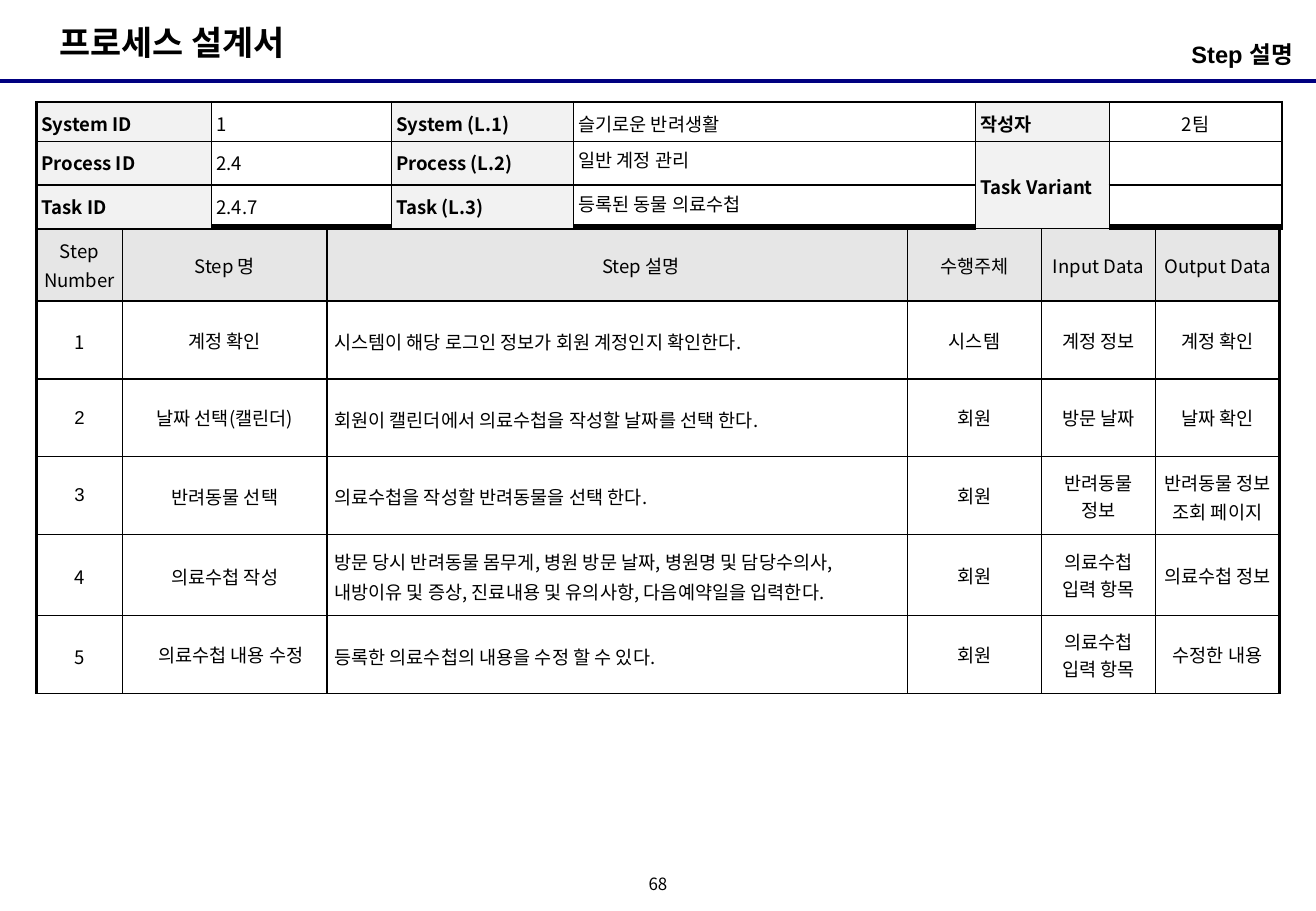
import pptx
import pptx.util
import pptx.dml.color
import pptx.enum.text
import pptx.enum.shapes
import pptx.oxml
import pptx.oxml.ns
import lxml.etree

# Content
TITLE = "프로세스 설계서"
SUBTITLE = "Step 설명"
PAGE_NUMBER = "68"
PROCESS_INFO = [
    ["System ID", "1", "System (L.1)", "슬기로운 반려생활", "작성자", "2팀"],
    ["Process ID", "2.4", "Process (L.2)", "일반 계정 관리", "Task Variant", ""],
    ["Task ID", "2.4.7", "Task (L.3)", "등록된 동물 의료수첩", "", ""],
]
STEPS = [
    ["Step Number", "Step 명", "Step 설명", "수행주체", "Input Data", "Output Data"],
    ["1", "계정 확인", "시스템이 해당 로그인 정보가 회원 계정인지 확인한다.",
     "시스템", "계정 정보", "계정 확인"],
    ["2", "날짜 선택(캘린더)", "회원이 캘린더에서 의료수첩을 작성할 날짜를 선택 한다.",
     "회원", "방문 날짜", "날짜 확인"],
    ["3", "반려동물 선택", "의료수첩을 작성할 반려동물을 선택 한다.",
     "회원", "반려동물 정보", "반려동물 정보 조회 페이지"],
    ["4", "의료수첩 작성",
     "방문 당시 반려동물 몸무게, 병원 방문 날짜, 병원명 및 담당수의사, "
     "내방이유 및 증상, 진료내용 및 유의사항, 다음예약일을 입력한다.",
     "회원", "의료수첩 입력 항목", "의료수첩 정보"],
    ["5", "의료수첩 내용 수정", "등록한 의료수첩의 내용을 수정 할 수 있다.",
     "회원", "의료수첩 입력 항목", "수정한 내용"],
]

# Grid, in inches
WIDTH, HEIGHT = 10.83, 7.5
MARGIN = 0.3
INFO_TOP, STEPS_TOP, RULE_TOP = 0.84, 1.86, 0.67
INFO_COLUMNS = [1.44, 1.48, 1.5, 3.31, 1.1, 1.42]
INFO_ROWS = [0.32, 0.36, 0.36]
STEP_COLUMNS = [0.71, 1.68, 4.78, 1.1, 0.94, 1.02]
STEP_ROWS = [0.62, 0.64, 0.64, 0.64, 0.67, 0.64]

# Look
COLORS = {"ink": "000000", "rule": "000080", "label": "F2F2F2", "heading": "E6E6E6"}
LATIN, KOREAN = "Arial", "Noto Sans CJK KR"
ARIAL_STEPS = {(1, 1), (2, 0), (3, 0)} | {
    (row, col) for row in (1, 2, 3) for col in (3, 4, 5)} - {(3, 5)}
SINGLE_SPACED = ARIAL_STEPS | {(2, 1), (5, 1)} | {
    (row, col) for row in (4, 5) for col in (3, 4, 5)}
STEP_INDENTS = {(0, 2): 0.39, (5, 1): 0.1}

Inches, Pt = pptx.util.Inches, pptx.util.Pt
ALIGN, ANCHOR = pptx.enum.text.PP_ALIGN, pptx.enum.text.MSO_ANCHOR


def color(name):
    return pptx.dml.color.RGBColor.from_string(COLORS[name])


def apply(target, **formats):
    for name, value in formats.items():
        setattr(target, name, value)


def add_xml(parent, tag, **attributes):
    return lxml.etree.SubElement(parent, pptx.oxml.ns.qn(tag), attributes)


def write(frame, text, size=11, font=KOREAN, bold=False, align=ALIGN.LEFT,
          spacing=1.0, indent=0):
    paragraph = frame.paragraphs[0]
    apply(paragraph, alignment=align, line_spacing=spacing,
          space_before=Pt(0), space_after=Pt(0))
    properties = paragraph._p.get_or_add_pPr()
    apply_margin = {"marL": str(int(Inches(indent))), "indent": "0"}
    for name, value in apply_margin.items():
        properties.set(name, value)
    add_xml(properties, "a:buNone")
    run = paragraph.add_run()
    apply(run, text=text)
    apply(run.font, size=Pt(size), name=font, bold=bold)
    run.font.color.rgb = color("ink")
    add_xml(run._r.get_or_add_rPr(), "a:ea", typeface=KOREAN)


def place(shape, left, top, width, height, anchor, inset_x, inset_y):
    apply(shape, left=Inches(left), top=Inches(top),
          width=Inches(width), height=Inches(height))
    apply(shape.text_frame, word_wrap=True, vertical_anchor=anchor,
          auto_size=pptx.enum.text.MSO_AUTO_SIZE.NONE,
          margin_left=Inches(inset_x), margin_right=Inches(inset_x),
          margin_top=Inches(inset_y), margin_bottom=Inches(inset_y))
    return shape.text_frame


def set_borders(cell, widths):
    properties = cell._tc.get_or_add_tcPr()
    for order, (side, width) in enumerate(zip("LRTB", widths)):
        line = add_xml(properties, "a:ln" + side, w=str(int(Pt(width))))
        fill = add_xml(line, "a:solidFill")
        add_xml(fill, "a:srgbClr", val=COLORS["ink"])
        properties.insert(order, line)


def add_grid(slide, top, columns, rows, content, style, edges):
    """edges holds the outer line widths: left, right, top, bottom."""
    table = slide.shapes.add_table(
        len(rows), len(columns), Inches(MARGIN), Inches(top),
        Inches(sum(columns)), Inches(sum(rows))).table
    apply(table, first_row=False, horz_banding=False)
    for column, width in zip(table.columns, columns):
        column.width = Inches(width)
    for row, height in zip(table.rows, rows):
        row.height = Inches(height)
    for r, texts in enumerate(content):
        for c, text in enumerate(texts):
            cell = table.cell(r, c)
            fill, anchor, inset, formats = style(r, c)
            inset_y = 0.04 if text else 0
            apply(cell, vertical_anchor=anchor,
                  margin_left=Inches(inset), margin_right=Inches(inset),
                  margin_top=Inches(inset_y), margin_bottom=Inches(inset_y))
            if text:
                write(cell.text_frame, text, **formats)
            if fill:
                cell.fill.solid()
                cell.fill.fore_color.rgb = color(fill)
            else:
                cell.fill.background()
            outer = (c == 0, c == len(columns) - 1, r == 0, r == len(rows) - 1)
            set_borders(cell, [edge if is_outer else 1
                               for edge, is_outer in zip(edges, outer)])
    return table


def info_style(r, c):
    label = c % 2 == 0
    korean_value = c == 3 and r > 0
    return ("label" if label else None,
            ANCHOR.MIDDLE if c >= 4 else ANCHOR.TOP, 0.04,
            {"bold": label, "spacing": 1.0 if korean_value else 1.1,
             "align": ALIGN.CENTER if c == 5 else ALIGN.LEFT})


def step_style(r, c):
    description = c == 2 and r > 0
    return ("heading" if r == 0 else None, ANCHOR.MIDDLE, 0.06,
            {"font": LATIN if (r, c) in ARIAL_STEPS else KOREAN,
             "spacing": 1.0 if (r, c) in SINGLE_SPACED else 1.1,
             "align": ALIGN.LEFT if description else ALIGN.CENTER,
             "indent": STEP_INDENTS.get((r, c), 0)})


def main():
    deck = pptx.Presentation()
    apply(deck, slide_width=Inches(WIDTH), slide_height=Inches(HEIGHT))
    slide = deck.slides.add_slide(deck.slide_layouts[1])

    # Heading and rule
    title, subtitle = slide.placeholders
    write(place(title, 0.39, 0.13, 2.26, 0.44, ANCHOR.TOP, 0.1, 0.05),
          TITLE, size=20, font=LATIN, bold=True)
    write(place(subtitle, 7.39, 0.28, 3.25, 0.39, ANCHOR.TOP, 0, 0.05),
          SUBTITLE, size=14, font=LATIN, bold=True, align=ALIGN.RIGHT)
    rule = slide.shapes.add_connector(
        pptx.enum.shapes.MSO_CONNECTOR.STRAIGHT,
        0, Inches(RULE_TOP), Inches(WIDTH), Inches(RULE_TOP))
    rule.line.width = Pt(2.25)
    rule.line.color.rgb = color("rule")
    add_xml(rule._element.spPr, "a:effectLst")

    # Steps, then the process block above them
    add_grid(slide, STEPS_TOP, STEP_COLUMNS, STEP_ROWS, STEPS, step_style,
             (2.25, 2.25, 2.25, 1))
    info = add_grid(slide, INFO_TOP, INFO_COLUMNS, INFO_ROWS, PROCESS_INFO,
                    info_style, (1.5, 1.5, 1.5, 1.5))
    info.cell(1, 4).merge(info.cell(2, 4))

    # Page number
    page = slide.shapes.add_textbox(0, 0, 0, 0)
    write(place(page, 5.25, 7.17, 0.33, 0.25, ANCHOR.MIDDLE, 0, 0),
          PAGE_NUMBER, size=10, align=ALIGN.CENTER, spacing=0.8)
    deck.save("out.pptx")


if __name__ == "__main__":
    main()
